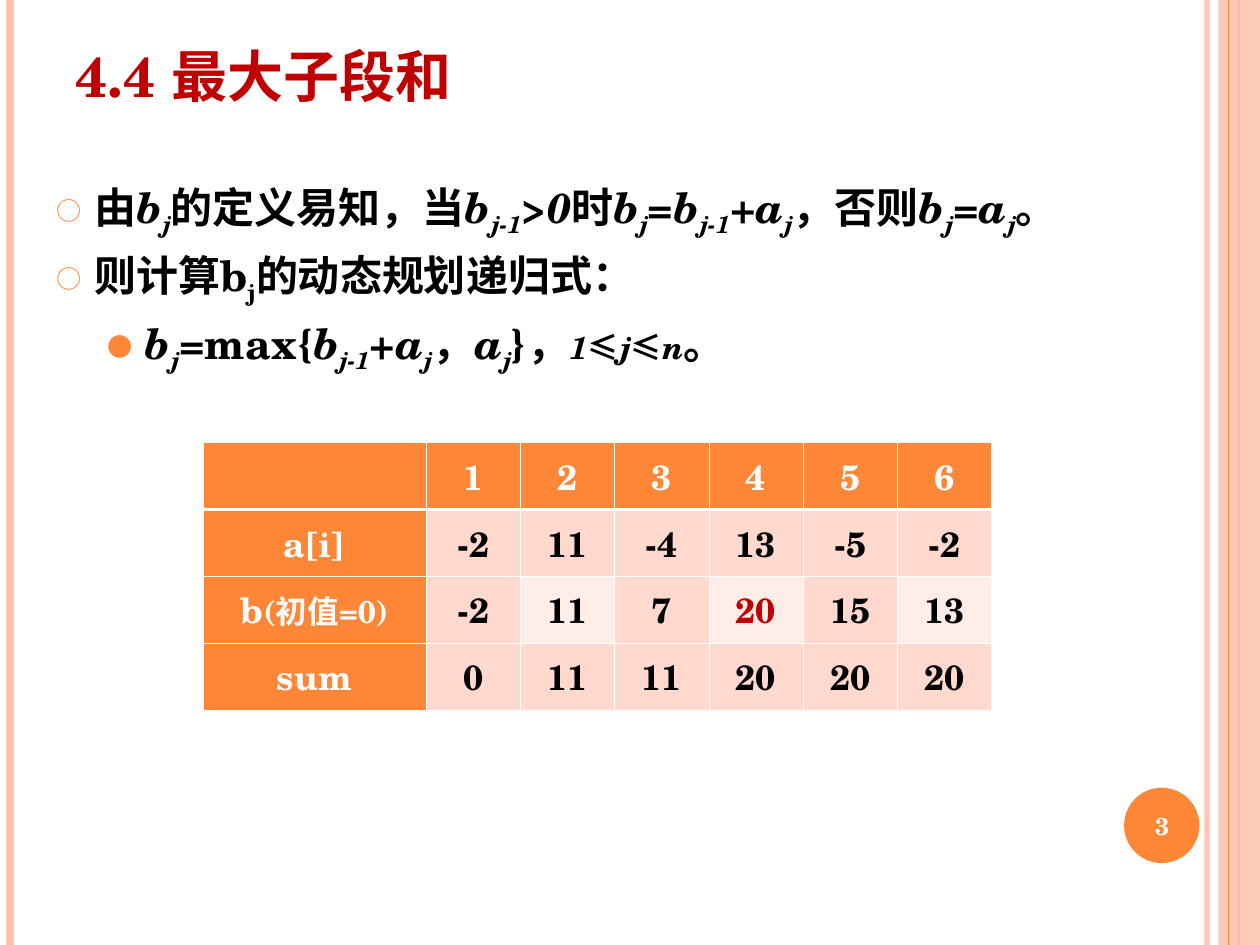
"""Build the slide on the maximum subarray sum recurrence."""
from lxml.etree import SubElement
from pptx import Presentation
from pptx.dml.color import RGBColor
from pptx.enum.shapes import MSO_CONNECTOR, MSO_SHAPE
from pptx.enum.text import MSO_ANCHOR, PP_ALIGN
from pptx.oxml.ns import qn
from pptx.util import Cm, Pt

LATIN, CHINESE = "TeX Gyre Schola", "Noto Sans CJK SC"
ORANGE = RGBColor(0xFE, 0x86, 0x37)
PEACH = RGBColor(0xFE, 0xC3, 0xAE)
PINK = RGBColor(0xFF, 0xD9, 0xCE)
PALE = RGBColor(0xFF, 0xED, 0xE8)
RED = RGBColor(0xC0, 0x00, 0x00)
WHITE = RGBColor(0xFF, 0xFF, 0xFF)
BLACK = RGBColor(0x00, 0x00, 0x00)

# Run flags: i italic, s subscript, n small, c Chinese font
B_J = [("b", "i"), ("j", "is")]
B_PREVIOUS = [("b", "i"), ("j-1", "is")]
A_J = [("a", "i"), ("j", "is")]
TITLE = "4.4 最大子段和"
STATEMENTS = [
    (0, [("由", ""), *B_J, ("的定义易知，当", ""), *B_PREVIOUS, (">", ""), ("0", "i"),
         ("时", ""), *B_J, ("=", ""), *B_PREVIOUS, ("+", ""), *A_J,
         ("，否则", ""), *B_J, ("=", ""), *A_J, ("。", "")]),
    (0, [("则计算b", ""), ("j", "s"), ("的动态规划递归式：", "")]),
    (1, [*B_J, ("=max{", ""), *B_PREVIOUS, ("+", ""), *A_J, ("，", ""), *A_J,
         ("}，", ""), ("1", "in"), ("≤", "nc"), ("j", "in"), ("≤", "nc"),
         ("n", "in"), ("。", "")]),
]
BULLETS = [("○", 0.76), ("●", 1.78)]
HANGING = 0.76
ROWS = [
    ["", "1", "2", "3", "4", "5", "6"],
    ["a[i]", "-2", "11", "-4", "13", "-5", "-2"],
    ["b(初值=0)", "-2", "11", "7", "20", "15", "13"],
    ["sum", "0", "11", "11", "20", "20", "20"],
]
INITIAL_ROW, BEST = 2, (2, 4)
COLUMN_WIDTHS = [4.5] + [1.9] * 6
ROW_HEIGHT = 1.35
STRIPES = [(24.33, PEACH, 3, 93), (0.2, PEACH, 4.5, 100),
           (24.97, ORANGE, 1.5, 100), (24.76, ORANGE, 0.75, 100)]
SLIDE_WIDTH, SLIDE_HEIGHT = 25.4, 19.05


def style(run, size, color, font=LATIN):
    run.font.size, run.font.bold, run.font.name = Pt(size), True, font
    run.font.color.rgb = color
    SubElement(run.font._element, qn("a:ea"), typeface=CHINESE)


def set_alpha(part, percent):
    color = next(part._element.spPr.iter(qn("a:srgbClr")))
    SubElement(color, qn("a:alpha"), val=str(percent * 1000))


def add_stripe(x, color, width, opacity):
    stripe = slide.shapes.add_connector(
        MSO_CONNECTOR.STRAIGHT, Cm(x), Cm(0), Cm(x), Cm(SLIDE_HEIGHT))
    stripe.line.color.rgb, stripe.line.width = color, Pt(width)
    SubElement(stripe._element.spPr, qn("a:effectLst"))
    if opacity < 100:
        set_alpha(stripe, opacity)


def add_solid(preset, color, *place):
    solid = slide.shapes.add_shape(preset, *map(Cm, place))
    solid.shadow.inherit = False
    solid.fill.solid()
    solid.fill.fore_color.rgb = color
    solid.line.fill.background()
    return solid


def add_text(anchor, *place):
    frame = slide.shapes.add_textbox(*map(Cm, place)).text_frame
    frame.word_wrap, frame.vertical_anchor = True, anchor
    return frame


def add_bullet(paragraph, level):
    symbol, margin = BULLETS[level]
    properties = paragraph._p.get_or_add_pPr()
    properties.set("marL", str(Cm(margin)))
    properties.set("indent", str(-Cm(HANGING)))
    color = SubElement(properties, qn("a:buClr"))
    SubElement(color, qn("a:srgbClr"), val=str(ORANGE))
    SubElement(properties, qn("a:buSzPct"), val="60000")
    SubElement(properties, qn("a:buFont"), typeface=CHINESE)
    SubElement(properties, qn("a:buChar"), char=symbol)


def add_borders(cell, row):
    properties = cell._tc.get_or_add_tcPr()
    heavy = {0: "lnB", 1: "lnT"}.get(row)
    for side in ("lnL", "lnR", "lnT", "lnB"):
        width = Pt(1.47 if side == heavy else 0.45)
        border = SubElement(properties, qn(f"a:{side}"), w=str(width))
        fill = SubElement(border, qn("a:solidFill"))
        SubElement(fill, qn("a:srgbClr"), val=str(WHITE))


def fill_cell(cell, row, column, value):
    heading = row == 0 or column == 0
    add_borders(cell, row)
    cell.fill.solid()
    banded = row == INITIAL_ROW and column % 2 == 0
    cell.fill.fore_color.rgb = ORANGE if heading else PALE if banded else PINK
    cell.vertical_anchor = MSO_ANCHOR.MIDDLE
    paragraph = cell.text_frame.paragraphs[0]
    paragraph.alignment = PP_ALIGN.CENTER
    color = WHITE if heading else RED if (row, column) == BEST else BLACK
    name, bracket, note = value.partition("(")
    for part, size in ((name, 20), (bracket + note, 18)):
        if part:
            run = paragraph.add_run()
            run.text = part
            style(run, size, color)


presentation = Presentation()
presentation.slide_width, presentation.slide_height = Cm(SLIDE_WIDTH), Cm(SLIDE_HEIGHT)
slide = presentation.slides.add_slide(presentation.slide_layouts[6])

for stripe in STRIPES[:3]:
    add_stripe(*stripe)
band = add_solid(MSO_SHAPE.RECTANGLE, PEACH, 24.56, 0, 0.84, SLIDE_HEIGHT)
set_alpha(band, 87)
add_stripe(*STRIPES[3])
add_solid(MSO_SHAPE.OVAL, ORANGE, 22.66, 15.88, 1.52, 1.52)

title = add_text(MSO_ANCHOR.BOTTOM, 1.27, 0, 23.04, 2.31)
title.text = TITLE
style(title.paragraphs[0].runs[0], 32, RED)

body = add_text(MSO_ANCHOR.TOP, 0.89, 3.53, 23.39, 8.61)
for index, (level, pieces) in enumerate(STATEMENTS):
    paragraph = body.add_paragraph() if index else body.paragraphs[0]
    paragraph.level = level
    if index:
        paragraph.space_before = Pt(6)
    add_bullet(paragraph, level)
    for piece, flags in pieces:
        run = paragraph.add_run()
        run.text = piece
        style(run, 18 if "n" in flags else 24, BLACK, CHINESE if "c" in flags else LATIN)
        run.font.italic = "i" in flags
        if "s" in flags:
            run.font._element.set("baseline", "-25000")

number = add_text(MSO_ANCHOR.MIDDLE, 22.58, 15.93, 1.7, 1.45)
number.text = "3"
number.paragraphs[0].alignment = PP_ALIGN.CENTER
style(number.paragraphs[0].runs[0], 14, WHITE)

table = slide.shapes.add_table(
    len(ROWS), len(COLUMN_WIDTHS), Cm(4.09), Cm(8.92),
    Cm(sum(COLUMN_WIDTHS)), Cm(ROW_HEIGHT * len(ROWS))).table
for column, width in zip(table.columns, COLUMN_WIDTHS):
    column.width = Cm(width)
for row, values in enumerate(ROWS):
    table.rows[row].height = Cm(ROW_HEIGHT)
    for column, value in enumerate(values):
        fill_cell(table.cell(row, column), row, column, value)

presentation.save("out.pptx")
